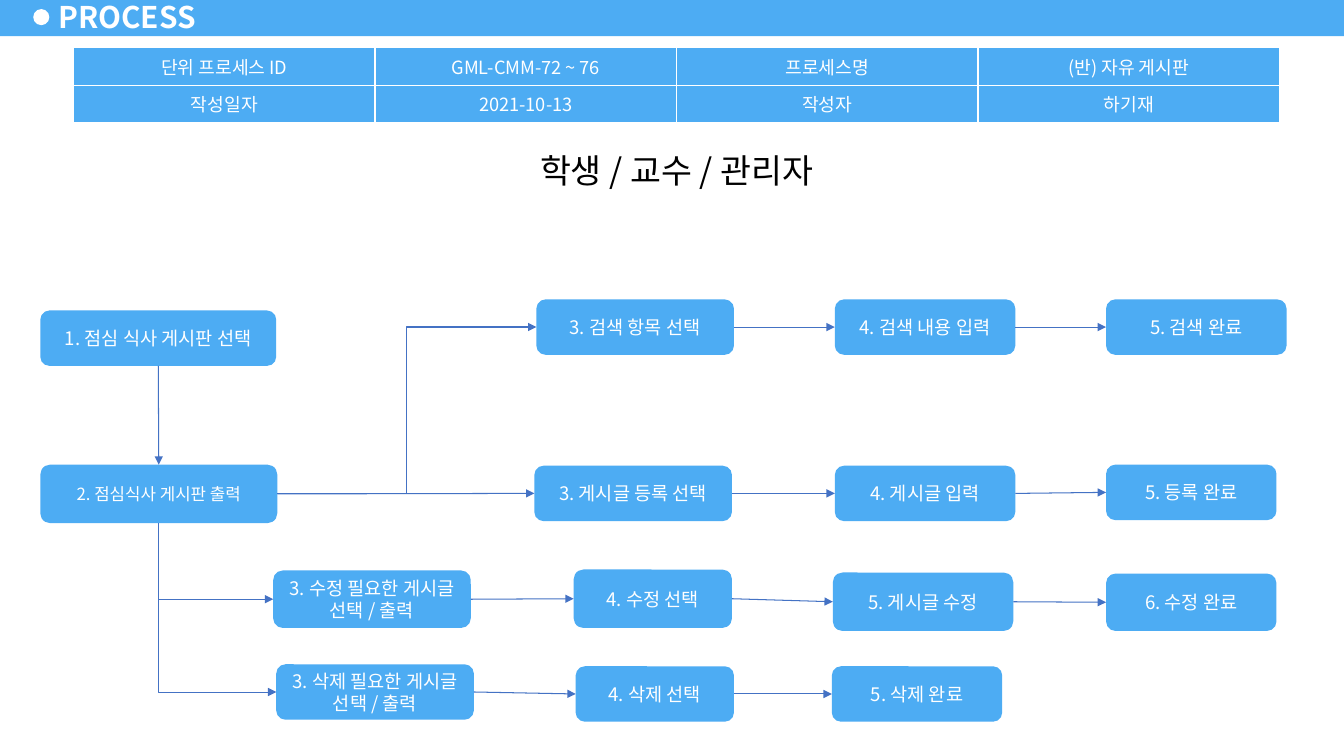
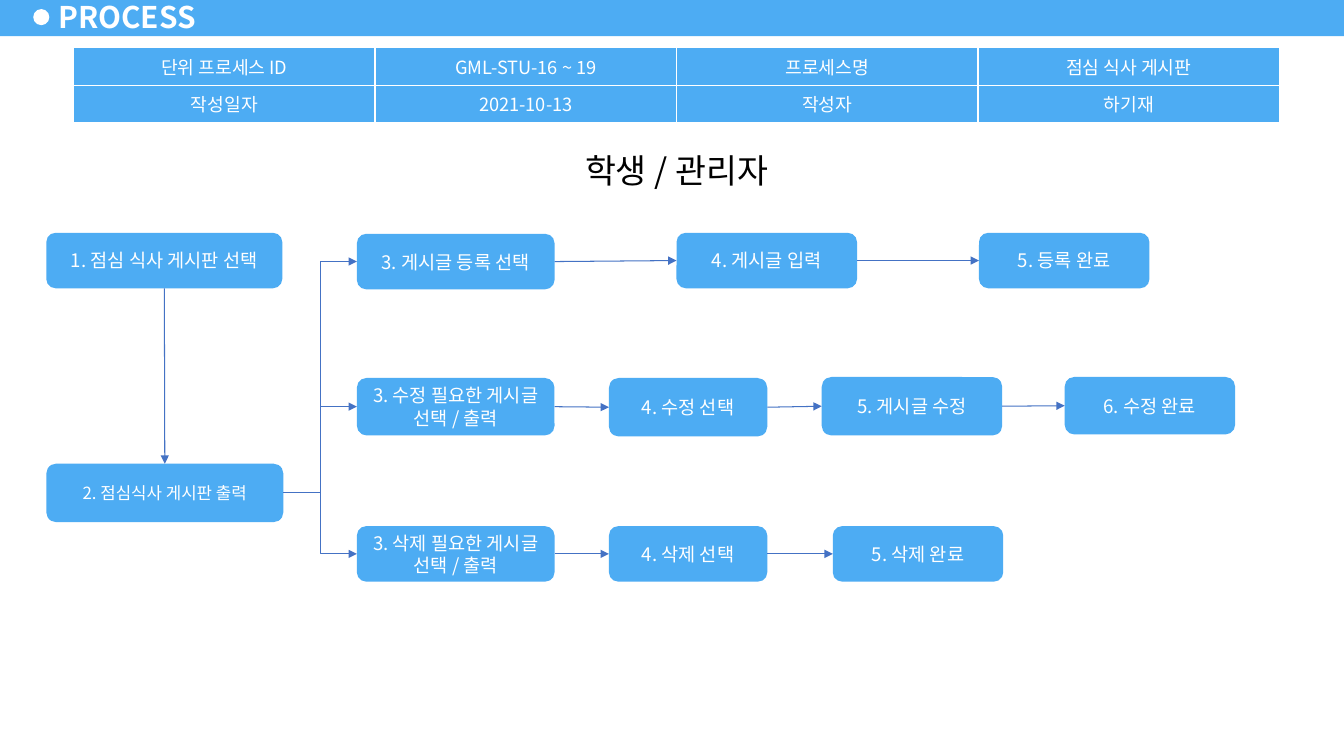
from lxml import etree
from pptx import Presentation
from pptx import util as u
from pptx.dml.color import RGBColor
from pptx.enum import shapes, text
from pptx.oxml.ns import qn

# Shared style
FONT = "Noto Sans CJK KR"
BLUE, LINE_BLUE, WHITE, BLACK = "4DACF3", "4472C4", "FFFFFF", "000000"
TOP, LEFT, BOTTOM, RIGHT = range(4)  # connection sites of a rectangle


def color(hex_value):
    return RGBColor.from_string(hex_value)


def add_xml(parent, tag, **attributes):
    return etree.SubElement(parent, qn(tag), attributes)


class ProcessDeck:
    """Holds the style and the slide being drawn."""

    def __init__(self):
        self.presentation = Presentation()
        self.presentation.slide_width = u.Inches(13.33)
        self.presentation.slide_height = u.Inches(7.5)
        self.slide = None

    def new_slide(self):
        layout = self.presentation.slide_layouts[6]
        self.slide = self.presentation.slides.add_slide(layout)
        # Title band
        self.shape(shapes.MSO_SHAPE.RECTANGLE, 0, -0.02, 13.33, 0.38, BLUE)
        self.shape(shapes.MSO_SHAPE.OVAL, 0.33, 0.09, 0.16, 0.16, WHITE)
        self.label("PROCESS", 0.47, -0.05, 1.63, 0.43, 21.3, WHITE,
                   text.PP_ALIGN.LEFT, bold=True, margins=(0.11, 0.06))

    def set_text(self, frame, content, size, font_color,
                 align=text.PP_ALIGN.CENTER, bold=False):
        paragraph = frame.paragraphs[0]
        paragraph.text = content
        paragraph.alignment = align
        font = paragraph.font
        font.size, font.bold, font.name = u.Pt(size), bold, FONT
        font.color.rgb = color(font_color)
        add_xml(font._element, "a:ea", typeface=FONT)

    def shape(self, kind, left, top, width, height, fill):
        shape = self.slide.shapes.add_shape(
            kind, *map(u.Inches, (left, top, width, height)))
        shape.shadow.inherit = False
        shape.fill.solid()
        shape.fill.fore_color.rgb = color(fill)
        shape.line.fill.background()
        return shape

    def fit_frame(self, frame, margins):
        frame.word_wrap = True
        frame.vertical_anchor = text.MSO_ANCHOR.MIDDLE
        frame.margin_left = frame.margin_right = u.Inches(margins[0])
        frame.margin_top = frame.margin_bottom = u.Inches(margins[1])

    def label(self, content, left, top, width, height, size, font_color,
              align=text.PP_ALIGN.CENTER, bold=False, margins=(0.13, 0.07)):
        box = self.slide.shapes.add_textbox(
            *map(u.Inches, (left, top, width, height)))
        self.fit_frame(box.text_frame, margins)
        self.set_text(box.text_frame, content, size, font_color, align, bold)

    def step(self, content, left, top, width, height=0.55, size=13.3):
        shape = self.shape(shapes.MSO_SHAPE.ROUNDED_RECTANGLE,
                           left, top, width, height, BLUE)
        self.fit_frame(shape.text_frame, (0.13, 0.07))
        self.set_text(shape.text_frame, content, size, WHITE)
        return shape

    def info_table(self, rows):
        table = self.slide.shapes.add_table(
            len(rows), len(rows[0]), u.Inches(0.73), u.Inches(0.47),
            u.Inches(11.96), u.Inches(0.75)).table
        table.first_row = table.horz_banding = False
        for row, values in enumerate(rows):
            for column, value in enumerate(values):
                self.table_cell(table.cell(row, column), value)

    def table_cell(self, cell, value):
        cell.vertical_anchor = text.MSO_ANCHOR.MIDDLE
        cell.margin_left = cell.margin_right = u.Inches(0.13)
        cell.margin_top = cell.margin_bottom = u.Inches(0.05)
        properties = cell._tc.get_or_add_tcPr()
        for side in ("a:lnL", "a:lnR", "a:lnT", "a:lnB"):
            border = add_xml(properties, side, w=str(u.Pt(1)))
            add_xml(add_xml(border, "a:solidFill"), "a:srgbClr", val=WHITE)
        cell.fill.solid()
        cell.fill.fore_color.rgb = color(BLUE)
        self.set_text(cell.text_frame, value, 13, WHITE)

    def arrow(self, start, end, kind=shapes.MSO_CONNECTOR.STRAIGHT,
              start_site=RIGHT, end_site=LEFT):
        connector = self.slide.shapes.add_connector(kind, 0, 0, 0, 0)
        connector.begin_connect(start, start_site)
        connector.end_connect(end, end_site)
        connector.line.color.rgb = color(LINE_BLUE)
        connector.line.width = u.Pt(0.75)
        add_xml(connector.line._get_or_add_ln(), "a:tailEnd", type="triangle")
        add_xml(connector._element.spPr, "a:effectLst")
        return connector

    def elbow_arrow(self, start, end):
        self.arrow(start, end, shapes.MSO_CONNECTOR.ELBOW)

    def corner_arrow(self, start, end):
        """Arrow that runs down from start, then right into end."""
        connector = self.arrow(start, end, shapes.MSO_CONNECTOR.ELBOW, BOTTOM)
        across, down = connector.width, connector.height
        shift = (across - down) // 2
        connector.left += shift
        connector.top -= shift
        connector.width, connector.height = down, across
        properties = connector._element.spPr
        properties.find(qn("a:prstGeom")).set("prst", "bentConnector2")
        transform = properties.find(qn("a:xfrm"))
        transform.set("rot", "16200000")
        transform.set("flipH", "1")

    def process(self, process_id, name, roles, entry, branches):
        self.new_slide()
        self.info_table([
            ("단위 프로세스 ID", process_id, "프로세스명", name),
            ("작성일자", "2021-10-13", "작성자", "하기재")])
        self.label(roles, 4.33, 1.42, 4.76, 0.54, 24, BLACK)
        # Entry steps
        left, choose_top, board_top = entry
        choose = self.step("1. 점심 식사 게시판 선택", left, choose_top, 2.34)
        board = self.step("2. 점심식사 게시판 출력", left, board_top, 2.35, 0.58, 12)
        self.arrow(choose, board, start_site=BOTTOM, end_site=TOP)
        # Branches
        for connect, steps in branches:
            chain = [self.step(*step) for step in steps]
            connect(board, chain[0])
            for start, end in zip(chain, chain[1:]):
                self.arrow(start, end)


def main():
    deck = ProcessDeck()

    # Class free board
    deck.process(
        "GML-CMM-72 ~ 76", "(반) 자유 게시판", "학생 / 교수 / 관리자",
        (0.4, 3.08, 4.61), [
            (deck.elbow_arrow, [
                ("3. 검색 항목 선택", 5.32, 2.97, 1.96),
                ("4. 검색 내용 입력", 8.28, 2.97, 1.79),
                ("5. 검색 완료", 10.97, 2.97, 1.79)]),
            (deck.arrow, [
                ("3. 게시글 등록 선택", 5.3, 4.62, 1.96),
                ("4. 게시글 입력", 8.28, 4.62, 1.79),
                ("5. 등록 완료", 10.97, 4.61, 1.69)]),
            (deck.corner_arrow, [
                ("3. 수정 필요한 게시글 선택 / 출력", 2.71, 5.66, 1.96, 0.57),
                ("4. 수정 선택", 5.69, 5.65, 1.57, 0.58),
                ("5. 게시글 수정", 8.26, 5.68, 1.79, 0.58),
                ("6. 수정 완료", 10.97, 5.69, 1.69, 0.57)]),
            (deck.corner_arrow, [
                ("3. 삭제 필요한 게시글 선택 / 출력", 2.74, 6.59, 1.96),
                ("4. 삭제 선택", 5.71, 6.61, 1.57),
                ("5. 삭제 완료", 8.25, 6.61, 1.69)])])

    # Lunch board
    deck.process(
        "GML-STU-16 ~ 19", "점심 식사 게시판", "학생 / 관리자",
        (0.46, 2.31, 4.6), [
            (deck.elbow_arrow, [
                ("3. 게시글 등록 선택", 3.54, 2.32, 1.96),
                ("4. 게시글 입력", 6.71, 2.31, 1.79),
                ("5. 등록 완료", 9.71, 2.31, 1.69)]),
            (deck.elbow_arrow, [
                ("3. 수정 필요한 게시글 선택 / 출력", 3.54, 3.75, 1.96, 0.57),
                ("4. 수정 선택", 6.04, 3.75, 1.57, 0.58),
                ("5. 게시글 수정", 8.15, 3.74, 1.79, 0.58),
                ("6. 수정 완료", 10.56, 3.74, 1.69, 0.57)]),
            (deck.elbow_arrow, [
                ("3. 삭제 필요한 게시글 선택 / 출력", 3.54, 5.22, 1.96),
                ("4. 삭제 선택", 6.04, 5.22, 1.57),
                ("5. 삭제 완료", 8.26, 5.22, 1.69)])])

    deck.presentation.save("out.pptx")


if __name__ == "__main__":
    main()
